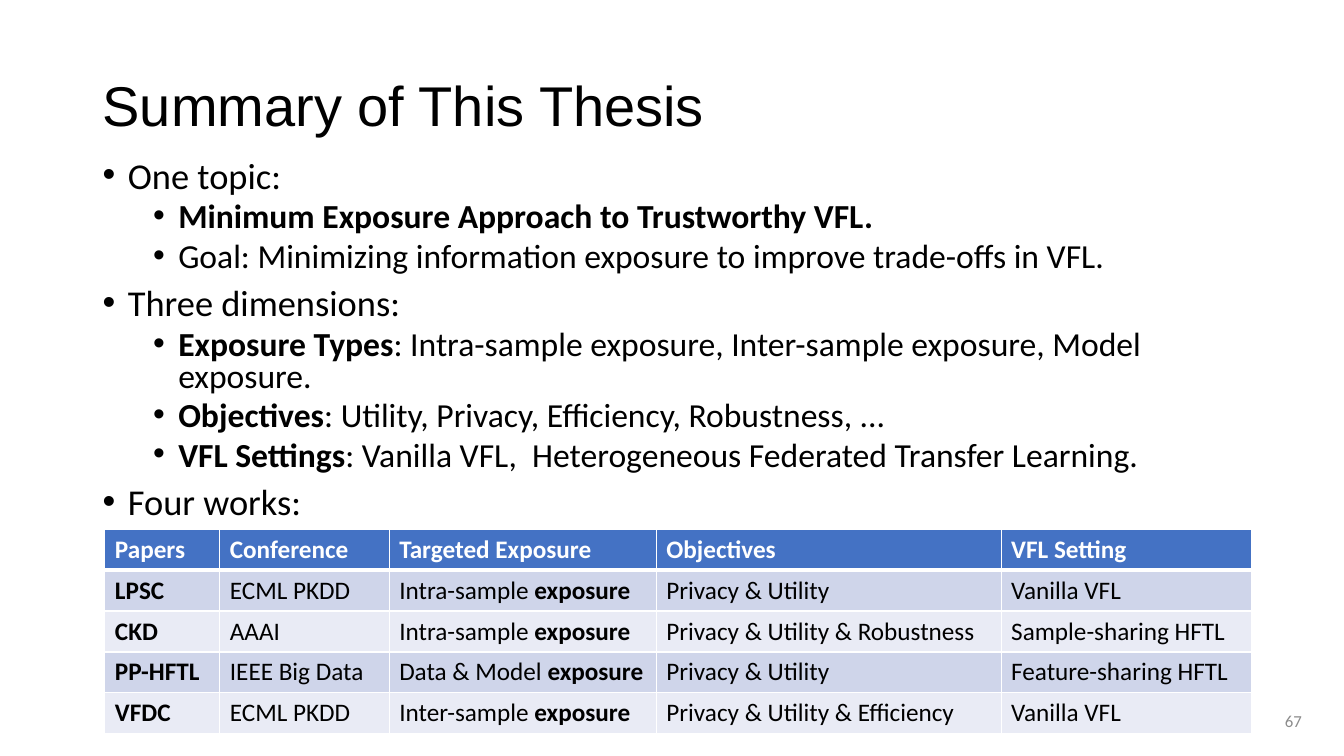
import pptx
import pptx.dml.color
import pptx.enum.text
import pptx.oxml
import pptx.oxml.ns
import pptx.util

RGBColor = pptx.dml.color.RGBColor
ANCHOR = pptx.enum.text.MSO_ANCHOR
ALIGN = pptx.enum.text.PP_ALIGN

BLACK = RGBColor(0x00, 0x00, 0x00)
WHITE = RGBColor(0xFF, 0xFF, 0xFF)
GREY = RGBColor(0x8C, 0x8C, 0x8C)
HEADER_BLUE = RGBColor(0x44, 0x72, 0xC4)
BAND_DARK = RGBColor(0xCF, 0xD5, 0xEA)
BAND_LIGHT = RGBColor(0xE9, 0xEB, 0xF5)

EMU_PER_PX = 9144  # 100 px to the inch

# (level, text); **...** marks bold
SUMMARY = [
    (0, "One topic:"),
    (1, "**Minimum Exposure Approach to Trustworthy VFL.**"),
    (1, "Goal: Minimizing information exposure to improve trade-offs in VFL."),
    (0, "Three dimensions:"),
    (1, "**Exposure Types**: Intra-sample exposure, Inter-sample exposure, Model exposure."),
    (1, "**Objectives**: Utility, Privacy, Efficiency, Robustness, ..."),
    (1, "**VFL Settings**: Vanilla VFL,  Heterogeneous Federated Transfer Learning."),
    (0, "Four works:"),
]
# level: (size in points, indent in px, space before in points)
LEVELS = {0: (26, 25, 10), 1: (24, 75, 5)}
HANGING = 25

WORKS = [
    ("**Papers**", "**Conference**", "**Targeted Exposure**", "**Objectives**", "**VFL Setting**"),
    ("**LPSC**", "ECML PKDD", "Intra-sample **exposure**", "Privacy & Utility", "Vanilla VFL"),
    ("**CKD**", "AAAI", "Intra-sample **exposure**", "Privacy & Utility & Robustness",
     "Sample-sharing HFTL"),
    ("**PP-HFTL**", "IEEE Big Data", "Data & Model **exposure**", "Privacy & Utility",
     "Feature-sharing HFTL"),
    ("**VFDC**", "ECML PKDD", "Inter-sample **exposure**", "Privacy & Utility & Efficiency",
     "Vanilla VFL"),
]
COLUMN_WIDTHS = (114, 168, 265, 342, 248)


def px(length):
    return pptx.util.Emu(length * EMU_PER_PX)


def write(paragraph, text, size=18, font="Calibri", color=BLACK, align=None,
          line_spacing=None, space_before=None):
    """Fill a paragraph, switching bold on and off at each ** mark."""
    paragraph.alignment = align
    paragraph.line_spacing = line_spacing
    if space_before is not None:
        paragraph.space_before = pptx.util.Pt(space_before)
    for index, part in enumerate(text.split("**")):
        if part:
            run = paragraph.add_run()
            run.text = part
            run.font.name = font
            run.font.size = pptx.util.Pt(size)
            run.font.bold = index % 2 == 1
            run.font.color.rgb = color


def add_text_frame(slide, box, anchor=ANCHOR.TOP):
    text_frame = slide.shapes.add_textbox(*map(px, box)).text_frame
    text_frame.word_wrap = True
    text_frame.vertical_anchor = anchor
    return text_frame


def add_bullet(paragraph, indent):
    properties = paragraph._p.get_or_add_pPr()
    properties.set("marL", str(px(indent)))
    properties.set("indent", str(-px(HANGING)))
    for tag, name, value in (("buFont", "typeface", "Arial"), ("buChar", "char", "•")):
        element = pptx.oxml.parse_xml(
            f'<a:{tag} {pptx.oxml.ns.nsdecls("a")} {name}="{value}"/>')
        properties.append(element)


def add_title(slide, box):
    text_frame = add_text_frame(slide, box, ANCHOR.MIDDLE)
    write(text_frame.paragraphs[0], "Summary of This Thesis", size=40, font="Arial",
          line_spacing=0.9)


def add_summary(slide, box):
    text_frame = add_text_frame(slide, box)
    for index, (level, text) in enumerate(SUMMARY):
        paragraph = text_frame.add_paragraph() if index else text_frame.paragraphs[0]
        size, indent, space_before = LEVELS[level]
        paragraph.level = level
        add_bullet(paragraph, indent)
        write(paragraph, text, size=size, line_spacing=0.8,
              space_before=space_before if index else 0)


def set_borders(cell, **widths):
    """Draw white borders; widths are in points, keyed by side in schema order."""
    properties = cell._tc.get_or_add_tcPr()
    for position, (side, width) in enumerate(widths.items()):
        border = pptx.oxml.parse_xml(
            f'<a:ln{side} {pptx.oxml.ns.nsdecls("a")} w="{pptx.util.Pt(width)}">'
            f'<a:solidFill><a:srgbClr val="{WHITE}"/></a:solidFill></a:ln{side}>')
        properties.insert(position, border)


def add_works_table(slide, box):
    table = slide.shapes.add_table(len(WORKS), len(COLUMN_WIDTHS), *map(px, box)).table
    for column, width in zip(table.columns, COLUMN_WIDTHS):
        column.width = px(width)
    for row_index, texts in enumerate(WORKS):
        is_header = row_index == 0
        band = BAND_DARK if row_index % 2 else BAND_LIGHT
        for column_index, text in enumerate(texts):
            cell = table.cell(row_index, column_index)
            cell.fill.solid()
            cell.fill.fore_color.rgb = HEADER_BLUE if is_header else band
            set_borders(cell, L=1, R=1, T=3 if row_index == 1 else 1, B=3 if is_header else 1)
            write(cell.text_frame.paragraphs[0], text, color=WHITE if is_header else BLACK)


def add_slide_number(slide, box):
    text_frame = add_text_frame(slide, box, ANCHOR.MIDDLE)
    write(text_frame.paragraphs[0], "67", size=12, color=GREY, align=ALIGN.RIGHT)


def main():
    presentation = pptx.Presentation()
    presentation.slide_width = px(1333)
    presentation.slide_height = px(750)
    slide = presentation.slides.add_slide(presentation.slide_layouts[6])
    add_title(slide, (92, 35, 1009, 145))
    add_summary(slide, (92, 155, 1150, 370))
    add_slide_number(slide, (1001, 695, 300, 40))
    add_works_table(slide, (104, 525, sum(COLUMN_WIDTHS), 203))
    presentation.save("out.pptx")


if __name__ == "__main__":
    main()
